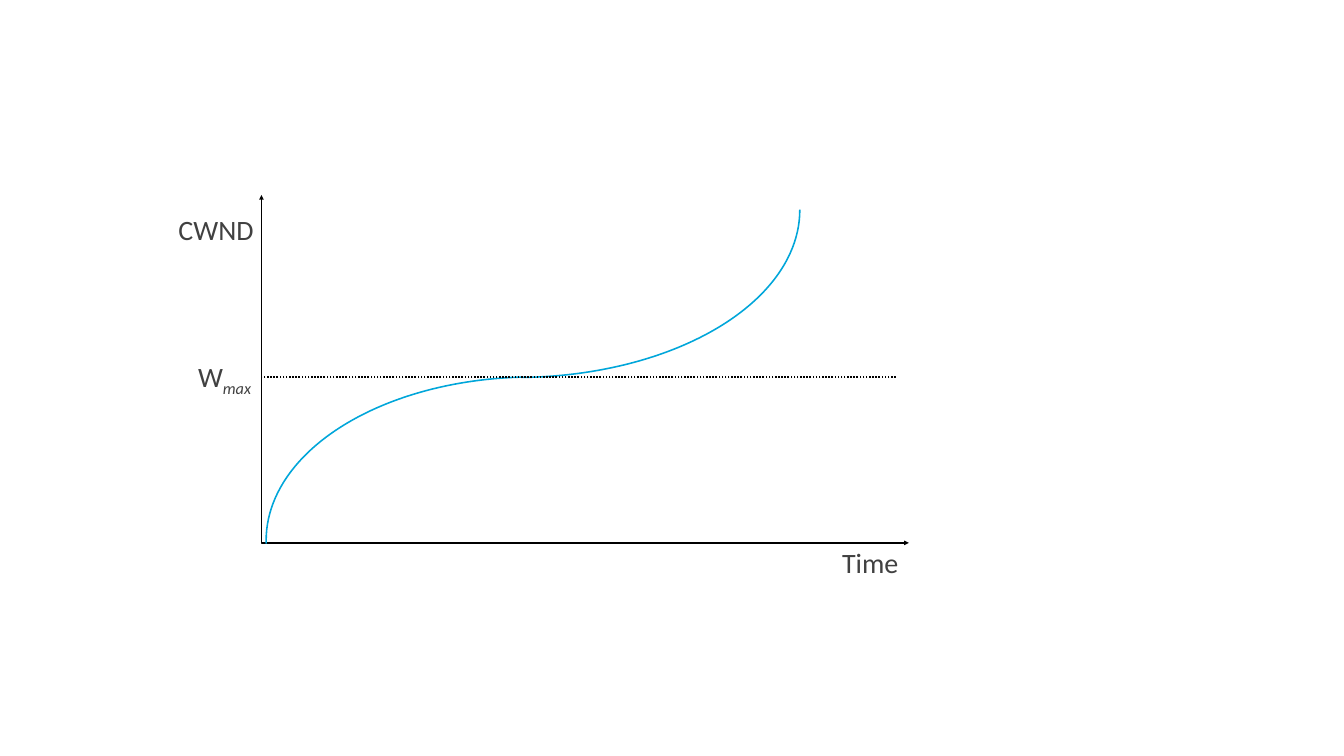
from typing import NamedTuple

from lxml import etree
from pptx import Presentation
from pptx.dml.color import RGBColor
from pptx.enum import dml, shapes, text
from pptx.oxml import ns
from pptx.util import Pt

BLACK, BLUE, GREY = "000000", "00A6DA", "414141"
ORIGIN_X, AXIS_TOP, ORIGIN_Y, AXIS_END = 373.5, 278.5, 775.5, 1298.5
PLATEAU_Y, PLATEAU_END = 538.5, 1279.5
LABEL_HEIGHT = 55.4


class Label(NamedTuple):
    """A text beside an axis, with an optional subscript."""
    main: str
    subscript: str
    left: float
    top: float
    width: float
    align: text.PP_ALIGN


class Arc(NamedTuple):
    """One half of the growth curve; angles are in degrees."""
    left: float
    top: float
    width: float
    height: float
    start: float
    end: float
    turn: float


LABELS = [
    Label("Time", "", 1195.2, ORIGIN_Y, 95.8, text.PP_ALIGN.CENTER),
    Label("CWND", "", 246.2, 299.5, 123.1, text.PP_ALIGN.RIGHT),
    Label("W", "max", 272.2, 509.8, 97.2, text.PP_ALIGN.CENTER),
]
ARCS = [
    Arc(380.2, PLATEAU_Y, 762.5, 466.6, 359.27, 86.5, 180),
    Arc(331.9, 60.5, 810.7, 478.8, 359.96, 88.29, 0),
]


def color(value: str) -> RGBColor:
    """Turn a hex string into a colour."""
    return RGBColor.from_string(value)


def apply(target, values: dict) -> None:
    """Set every attribute named in the dict."""
    for name, value in values.items():
        setattr(target, name, value)


def style_line(line, value: str) -> None:
    """Give a line its colour and the common width."""
    line.color.rgb = color(value)
    line.width = Pt(2.25)


def add_line(page, kind, x1: float, y1: float, x2: float, y2: float):
    """Draw a black connector without a shadow."""
    line = page.shapes.add_connector(kind, Pt(x1), Pt(y1), Pt(x2), Pt(y2))
    style_line(line.line, BLACK)
    etree.SubElement(line.element.spPr, ns.qn("a:effectLst"))
    return line


def add_axes(page) -> None:
    """Draw both axes as one bent connector with two arrowheads."""
    axes = add_line(page, shapes.MSO_CONNECTOR.ELBOW,
                    ORIGIN_X, AXIS_TOP, AXIS_END, ORIGIN_Y)
    geometry = axes.element.spPr.find(ns.qn("a:prstGeom"))
    guides = geometry.find(ns.qn("a:avLst"))
    if guides is None:
        guides = etree.SubElement(geometry, ns.qn("a:avLst"))
    etree.SubElement(guides, ns.qn("a:gd"), name="adj1", fmla="val 0")
    outline = axes.element.spPr.find(ns.qn("a:ln"))
    for end in ("a:headEnd", "a:tailEnd"):
        etree.SubElement(outline, ns.qn(end), type="triangle")


def add_arc(page, arc: Arc) -> None:
    """Draw one half of the curve."""
    shape = page.shapes.add_shape(
        shapes.MSO_SHAPE.ARC, *(Pt(length) for length in arc[:4]))
    for index, angle in enumerate((arc.start, arc.end)):
        shape.adjustments[index] = angle * 0.6
    shape.rotation = arc.turn
    shape.shadow.inherit = False
    shape.fill.background()
    style_line(shape.line, BLUE)


def add_label(page, label: Label) -> None:
    """Write one label."""
    box = page.shapes.add_textbox(Pt(label.left), Pt(label.top),
                                  Pt(label.width), Pt(LABEL_HEIGHT))
    apply(box.text_frame, {"word_wrap": False,
                           "auto_size": text.MSO_AUTO_SIZE.SHAPE_TO_FIT_TEXT})
    para = box.text_frame.paragraphs[0]
    para.alignment = label.align
    for words in filter(None, (label.main, label.subscript)):
        span = para.add_run()
        span.text = words
        apply(span.font, {"name": "Calibri", "size": Pt(40)})
        span.font.color.rgb = color(GREY)
        if words == label.subscript:
            span.font.italic = True
            span.font._element.set("baseline", "-25000")


def main() -> None:
    """Build the slide and save it."""
    deck = Presentation()
    apply(deck, {"slide_width": Pt(1920), "slide_height": Pt(1080)})
    page = deck.slides.add_slide(deck.slide_layouts[6])
    time_label, window_label, plateau_label = LABELS
    add_axes(page)
    add_label(page, time_label)
    add_label(page, window_label)
    for arc in ARCS:
        add_arc(page, arc)
    plateau = add_line(page, shapes.MSO_CONNECTOR.STRAIGHT,
                       PLATEAU_END, PLATEAU_Y, ORIGIN_X, PLATEAU_Y)
    plateau.line.dash_style = dml.MSO_LINE.ROUND_DOT
    add_label(page, plateau_label)
    deck.save("out.pptx")


main()
